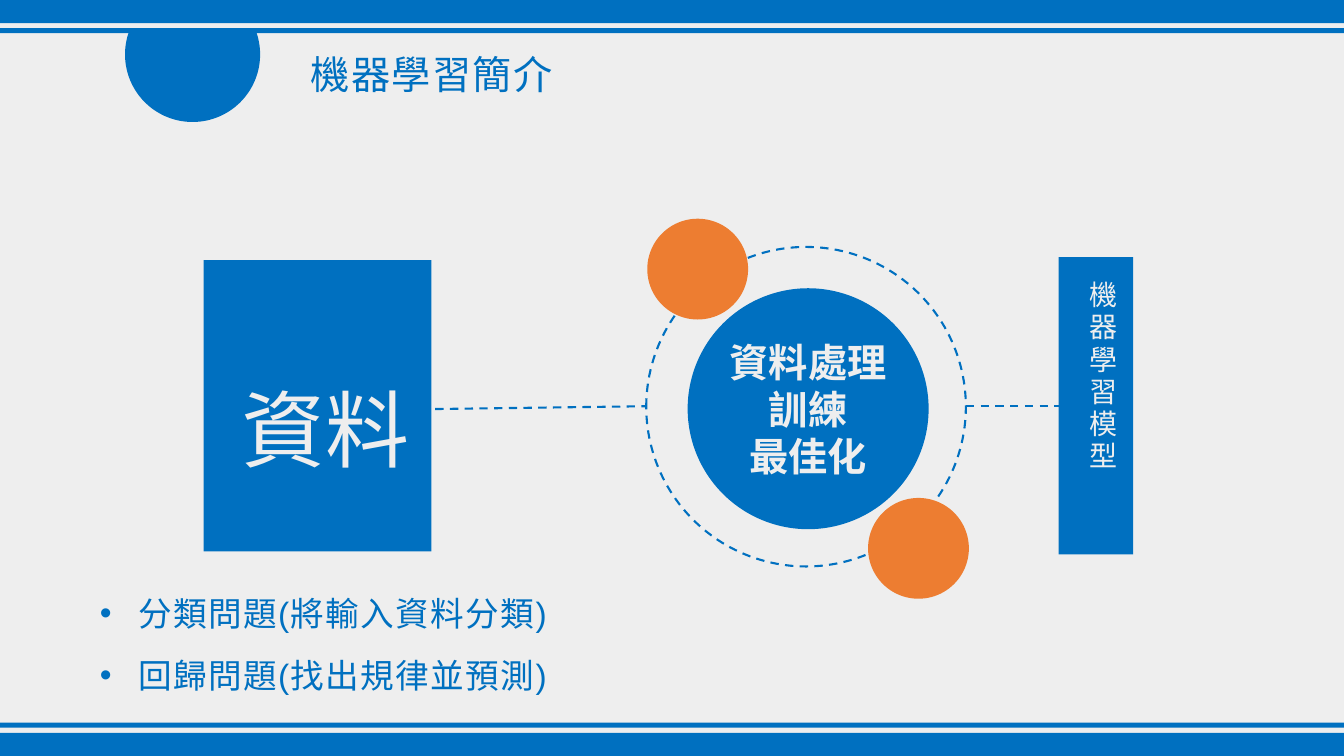
"""Build a slide that introduces machine learning as a data, training and model flow."""
import math
from dataclasses import dataclass

import pptx
import pptx.dml.color
import pptx.enum.dml
import pptx.enum.shapes
import pptx.enum.text
import pptx.oxml
import pptx.oxml.ns
import pptx.util
from pptx.util import Inches

Align = pptx.enum.text.PP_ALIGN
Anchor = pptx.enum.text.MSO_ANCHOR
Preset = pptx.enum.shapes.MSO_SHAPE


@dataclass(frozen=True)
class Theme:
    blue: str = "0070C0"
    orange: str = "ED7D31"
    light: str = "EEEEEE"
    title_font: str = "Noto Sans CJK SC"
    list_font: str = "Arial"
    label_font: str = "Calibri"
    title_size: int = 28
    list_size: int = 24
    data_size: int = 60
    process_size: int = 28
    model_size: int = 20
    dash_width: float = 1.5


THEME = Theme()


def rgb(color):
    return pptx.dml.color.RGBColor.from_string(color)


def place(shape, left, top, width, height):
    shape.left, shape.top = Inches(left), Inches(top)
    shape.width, shape.height = Inches(width), Inches(height)


def write(shape, lines, font_name, size, color, align=Align.LEFT, anchor=Anchor.TOP,
          bold=False, tracking=0, line_spacing=1.0, space_after=0, wrap=True):
    frame = shape.text_frame
    frame.text = "\n".join(lines)
    frame.word_wrap = wrap
    frame.auto_size = pptx.enum.text.MSO_AUTO_SIZE.NONE
    frame.vertical_anchor = anchor
    for paragraph in frame.paragraphs:
        paragraph.alignment = align
        paragraph.line_spacing = line_spacing
        paragraph.space_before = pptx.util.Pt(0)
        paragraph.space_after = pptx.util.Pt(space_after)
        font = paragraph.font
        font.size, font.bold, font.name = pptx.util.Pt(size), bold, font_name
        font.color.rgb = rgb(color)
        defaults = paragraph._p.pPr.find(pptx.oxml.ns.qn("a:defRPr"))
        defaults.set("spc", str(tracking * 100))
        east_asian = pptx.oxml.parse_xml(
            f'<a:ea {pptx.oxml.ns.nsdecls("a")} typeface="{font_name}"/>')
        defaults.find(pptx.oxml.ns.qn("a:latin")).addnext(east_asian)


def paint(shape, color):
    shape.shadow.inherit = False
    shape.fill.solid()
    shape.fill.fore_color.rgb = rgb(color)
    shape.line.fill.background()


def add_filled(slide, preset, left, top, width, height, color):
    shape = slide.shapes.add_shape(
        preset, Inches(left), Inches(top), Inches(width), Inches(height))
    paint(shape, color)
    return shape


def dash(line):
    line.color.rgb = rgb(THEME.blue)
    line.width = pptx.util.Pt(THEME.dash_width)
    line.dash_style = pptx.enum.dml.MSO_LINE.DASH


def add_dashed_link(slide, start_x, start_y, end_x, end_y):
    link = slide.shapes.add_connector(
        pptx.enum.shapes.MSO_CONNECTOR.STRAIGHT,
        Inches(start_x), Inches(start_y), Inches(end_x), Inches(end_y))
    dash(link.line)
    link._element.spPr.append(
        pptx.oxml.parse_xml(f'<a:effectLst {pptx.oxml.ns.nsdecls("a")}/>'))


def add_dashed_ring(slide, left, top, diameter):
    ring = slide.shapes.add_shape(
        Preset.OVAL, Inches(left), Inches(top), Inches(diameter), Inches(diameter))
    ring.shadow.inherit = False
    ring.fill.background()
    dash(ring.line)


def add_cut_circle(slide, center_x, center_y, radius, cut_y, steps=120):
    start = math.asin((cut_y - center_y) / radius)
    sweep = math.pi - 2 * start
    angles = [start + sweep * step / steps for step in range(steps + 1)]
    points = [(Inches(center_x + radius * math.cos(angle)),
               Inches(center_y + radius * math.sin(angle))) for angle in angles]
    builder = slide.shapes.build_freeform(*points[0])
    builder.add_line_segments(points[1:], close=True)
    paint(builder.convert_to_shape(), THEME.blue)


def add_text_box(slide, left, top, width, height, vertical=False):
    box = slide.shapes.add_textbox(
        Inches(left), Inches(top), Inches(width), Inches(height))
    if vertical:
        box.text_frame._txBody.bodyPr.set("vert", "eaVert")
    return box


def add_title(slide, text):
    title = slide.shapes.title
    place(title, 2.98, 0.45, 8.53, 0.57)
    write(title, [text], THEME.title_font, THEME.title_size, THEME.blue,
          anchor=Anchor.MIDDLE, tracking=1)


def add_problem_list(slide, lines):
    body = slide.placeholders[1]
    place(body, 0.89, 5.83, 7.32, 1.1)
    write(body, lines, THEME.list_font, THEME.list_size, THEME.blue,
          tracking=1, space_after=15.5)
    for paragraph in body.text_frame.paragraphs:
        paragraph._p.pPr.set("marL", str(Inches(0.38)))
        paragraph._p.pPr.set("indent", str(Inches(-0.38)))


def add_frame_bars(slide):
    for top, height in ((0, 0.23), (0.28, 0.05), (7.17, 0.05), (7.27, 0.23)):
        add_filled(slide, Preset.RECTANGLE, 0, top, 13.33, height, THEME.blue)


def add_data_block(slide):
    add_filled(slide, Preset.RECTANGLE, 2.02, 2.58, 2.26, 2.89, THEME.blue)
    label = add_text_box(slide, 2.29, 3.3, 1.88, 1.51)
    write(label, ["資料"], THEME.label_font, THEME.data_size, THEME.light,
          align=Align.CENTER, line_spacing=1.4, wrap=False)


def add_model_block(slide):
    add_filled(slide, Preset.RECTANGLE, 10.5, 2.55, 0.74, 2.95, THEME.blue)
    label = add_text_box(slide, 10.61, 2.69, 0.67, 2.67, vertical=True)
    write(label, ["機器學習模型"], THEME.label_font, THEME.model_size, THEME.light,
          tracking=3, line_spacing=1.4)


def add_process_hub(slide):
    add_dashed_ring(slide, 6.41, 2.45, 3.17)
    hub = add_filled(slide, Preset.OVAL, 6.82, 2.86, 2.39, 2.39, THEME.blue)
    write(hub, ["資料處理", "訓練", "最佳化"], THEME.label_font, THEME.process_size,
          THEME.light, align=Align.CENTER, anchor=Anchor.MIDDLE, bold=True, wrap=False)
    for left, top in ((6.42, 2.17), (8.61, 4.94)):
        add_filled(slide, Preset.OVAL, left, top, 1, 1, THEME.orange)


def main():
    presentation = pptx.Presentation()
    presentation.slide_width, presentation.slide_height = Inches(13.33), Inches(7.5)
    slide = presentation.slides.add_slide(presentation.slide_layouts[1])
    slide.background.fill.solid()
    slide.background.fill.fore_color.rgb = rgb(THEME.light)
    add_frame_bars(slide)
    add_title(slide, "機器學習簡介")
    add_cut_circle(slide, 1.91, 0.54, 0.67, 0.32)
    add_data_block(slide)
    add_model_block(slide)
    add_process_hub(slide)
    add_dashed_link(slide, 9.58, 4.03, 10.5, 4.03)
    add_dashed_link(slide, 4.17, 4.06, 6.41, 4.03)
    add_problem_list(slide, ["分類問題(將輸入資料分類)", "回歸問題(找出規律並預測)"])
    presentation.save("out.pptx")


if __name__ == "__main__":
    main()
